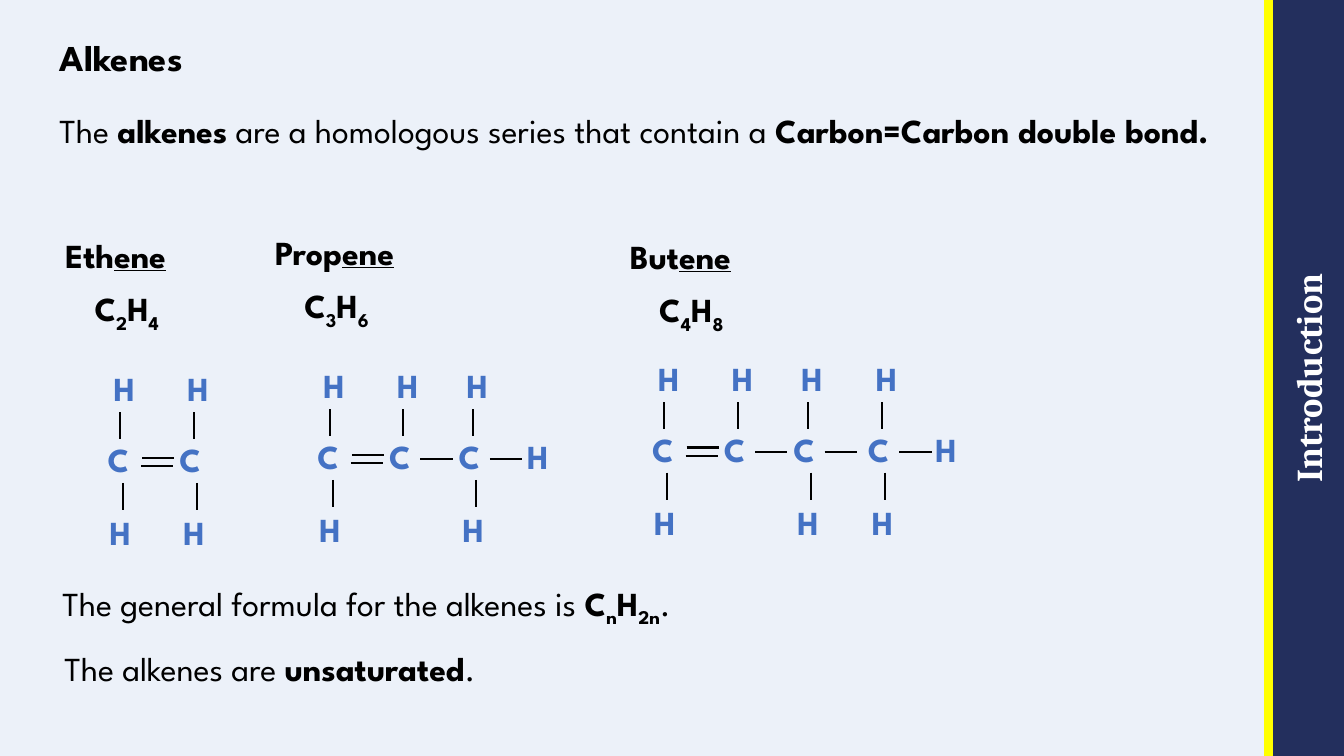
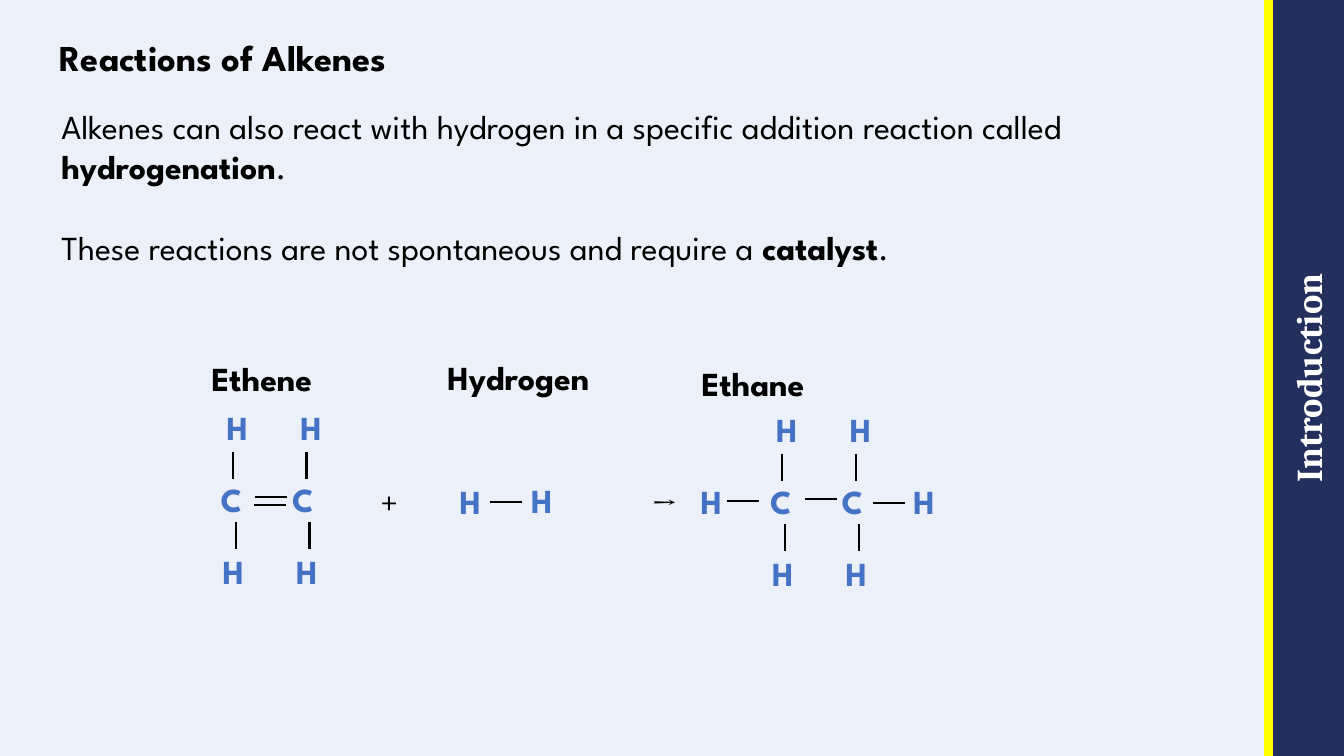
import pptx
import pptx.dml.color
import pptx.enum.shapes
import pptx.enum.text
import pptx.oxml
import pptx.util
from pptx.util import Inches

BODY_FONT = "League Spartan"
BAND_FONT = "Cambria"
BLACK = "000000"
WHITE = "FFFFFF"
PALE_BLUE = "ECF1F9"
ATOM_BLUE = "4472C4"
NAVY = "232F5D"
YELLOW = "FFFF00"

CARBON_OFFSETS = [0, 0.71, 1.4, 2.14]
BOND_LENGTH = 0.32
UPRIGHT_LENGTH = 0.27


def add_text(slide, text, left, top, width, height=0.5, size=24, font=BODY_FONT, color=BLACK,
             style="", fill=None, wrap=True, grow=True, margins=True, align=None,
             anchor="TOP", line_spacing=None, space_before=0):
    box = [Inches(value) for value in (left, top, width, height)]
    if fill:
        shape = slide.shapes.add_shape(pptx.enum.shapes.MSO_SHAPE.RECTANGLE, *box)
        shape.shadow.inherit = False
        shape.fill.solid()
        shape.fill.fore_color.rgb = pptx.dml.color.RGBColor.from_string(fill)
        shape.line.fill.background()
    else:
        shape = slide.shapes.add_textbox(*box)
    frame = shape.text_frame
    frame.word_wrap = wrap
    frame.vertical_anchor = pptx.enum.text.MSO_ANCHOR[anchor]
    if grow:
        frame.auto_size = pptx.enum.text.MSO_AUTO_SIZE.SHAPE_TO_FIT_TEXT
    if not margins:
        frame.margin_left = frame.margin_top = frame.margin_right = frame.margin_bottom = 0
    paragraphs = [[(text, style)]] if isinstance(text, str) else text
    for index, runs in enumerate(paragraphs):
        paragraph = frame.add_paragraph() if index else frame.paragraphs[0]
        if index:
            paragraph.space_before = pptx.util.Pt(space_before)
        if align:
            paragraph.alignment = pptx.enum.text.PP_ALIGN[align]
        if line_spacing:
            paragraph.line_spacing = line_spacing
        for words, run_style in runs:
            run = paragraph.add_run()
            run.text = words
            run.font.name = font
            run.font.size = pptx.util.Pt(size)
            run.font.color.rgb = pptx.dml.color.RGBColor.from_string(color)
            run.font.bold = "bold" in run_style
            run.font.underline = "underline" in run_style
            if "subscript" in run_style:
                run.font._element.set("baseline", "-25000")
    return shape


def add_line(slide, left, top, across=0, down=0, color=BLACK, width=1.5):
    line = slide.shapes.add_connector(
        pptx.enum.shapes.MSO_CONNECTOR.STRAIGHT,
        Inches(left), Inches(top), Inches(left + across), Inches(top + down))
    line.line.color.rgb = pptx.dml.color.RGBColor.from_string(color)
    line.line.width = pptx.util.Pt(width)
    line._element.spPr.append(pptx.oxml.parse_xml(
        '<a:effectLst xmlns:a="http://schemas.openxmlformats.org/drawingml/2006/main"/>'))


presentation = pptx.Presentation()
presentation.slide_width = Inches(13.33)
presentation.slide_height = Inches(7.5)

slides = []
for title in ["Alkenes", "Reactions of Alkenes"]:
    slide = presentation.slides.add_slide(presentation.slide_layouts[6])
    slide.background.fill.solid()
    slide.background.fill.fore_color.rgb = pptx.dml.color.RGBColor.from_string(PALE_BLUE)
    band = add_text(slide, "Introduction", 9.22, 3.39, 7.5, 0.72, size=26, font=BAND_FONT,
                    color=WHITE, style="bold", fill=NAVY, grow=False, margins=False,
                    align="CENTER", anchor="MIDDLE")
    band.rotation = 270
    add_line(slide, 12.58, 0, down=7.5, color=YELLOW, width=6)
    add_text(slide, title, 0.59, 0, 11.61, 0.79, size=26, style="bold", grow=False,
             margins=False, anchor="BOTTOM", line_spacing=0.9)
    slides.append(slide)
series_slide, reaction_slide = slides

add_text(series_slide, [[
    ("The ", ""), ("alkenes", "bold"),
    (" are a homologous series that contain a ", ""),
    ("Carbon=Carbon double bond.", "bold"),
]], 0.49, 1.04, 11.9)
for stem, carbons, hydrogens, left, top in [
    ("Eth", "2", "4", 0.55, 2.28),
    ("Prop", "3", "6", 2.63, 2.25),
    ("But", "4", "8", 6.15, 2.29),
]:
    add_text(series_slide, [[(stem, "bold"), ("ene", "bold underline")]], left, top, 1.7)
    add_text(series_slide, [[
        ("C", "bold"), (carbons, "bold subscript"),
        ("H", "bold"), (hydrogens, "bold subscript"),
    ]], left + 0.29, top + 0.53, 1.7)
add_text(series_slide, [[
    ("The general formula for the alkenes is ", ""),
    ("C", "bold"), ("n", "bold subscript"), ("H", "bold"), ("2n", "bold subscript"), (".", ""),
]], 0.52, 5.73, 11.9)
add_text(series_slide, [[("The alkenes are ", ""), ("unsaturated", "bold"), (".", "")]],
         0.54, 6.38, 11.9)

add_text(reaction_slide, [
    [("Alkenes can also react with hydrogen in a specific addition reaction called ", ""),
     ("hydrogenation", "bold"), (".", "")],
    [("These reactions are not spontaneous and require a ", ""),
     ("catalyst", "bold"), (".", "")],
], 0.51, 1, 11.9, 1.72, space_before=29)
for name, left, top, width in [
    ("Ethene", 2, 3.5, 1.7), ("Hydrogen", 4.34, 3.49, 1.87), ("Ethane", 6.86, 3.55, 3.79),
]:
    add_text(reaction_slide, name, left, top, width, style="bold")
for sign, left, top, width in [("+", 3.67, 4.71, 0.42), ("→", 6.36, 4.73, 0.53)]:
    add_text(reaction_slide, sign, left, top, width, font=BAND_FONT, wrap=False)

atoms = [(reaction_slide, "H", 4.46, 4.72), (reaction_slide, "H", 5.17, 4.71)]
add_line(reaction_slide, 4.86, 4.98, across=BOND_LENGTH)

for slide, left, top, carbon_count, is_alkene, left_hydrogen, right_hydrogen in [
    (series_slide, 0.97, 4.31, 2, True, None, None),
    (series_slide, 3.05, 4.28, 3, True, None, 0.68),
    (series_slide, 6.37, 4.21, 4, True, None, 0.67),
    (reaction_slide, 2.09, 4.7, 2, True, None, None),
    (reaction_slide, 7.54, 4.72, 2, False, -0.69, 0.71),
]:
    for index, offset in enumerate(CARBON_OFFSETS[:carbon_count]):
        carbon_left = left + offset
        nudge = 0.02 if index else 0
        is_last = index == carbon_count - 1
        atoms.append((slide, "C", carbon_left, top))
        atoms.append((slide, "H", carbon_left + 0.06 + nudge, top - 0.71))
        add_line(slide, carbon_left + 0.22 + nudge, top - 0.22, down=UPRIGHT_LENGTH)
        if index != 1 or carbon_count == 2:
            atoms.append((slide, "H", carbon_left + 0.02 + nudge, top + 0.72))
            add_line(slide, carbon_left + 0.25 + nudge, top + 0.48, down=UPRIGHT_LENGTH)
        if index == 0:
            add_line(slide, carbon_left + 0.44, top + 0.23, across=BOND_LENGTH)
            if is_alkene:
                add_line(slide, carbon_left + 0.43, top + 0.31, across=BOND_LENGTH)
        elif not is_last or right_hydrogen:
            add_line(slide, carbon_left + 0.41, top + 0.27, across=BOND_LENGTH)
    if left_hydrogen:
        atoms.append((slide, "H", left + left_hydrogen, top))
        add_line(slide, left - 0.33, top + 0.25, across=BOND_LENGTH)
    if right_hydrogen:
        atoms.append((slide, "H", carbon_left + right_hydrogen, top))

for slide, symbol, left, top in atoms:
    add_text(slide, symbol, left, top, 0.48 if symbol == "C" else 0.43,
             color=ATOM_BLUE, style="bold", wrap=False)

presentation.save("out.pptx")
